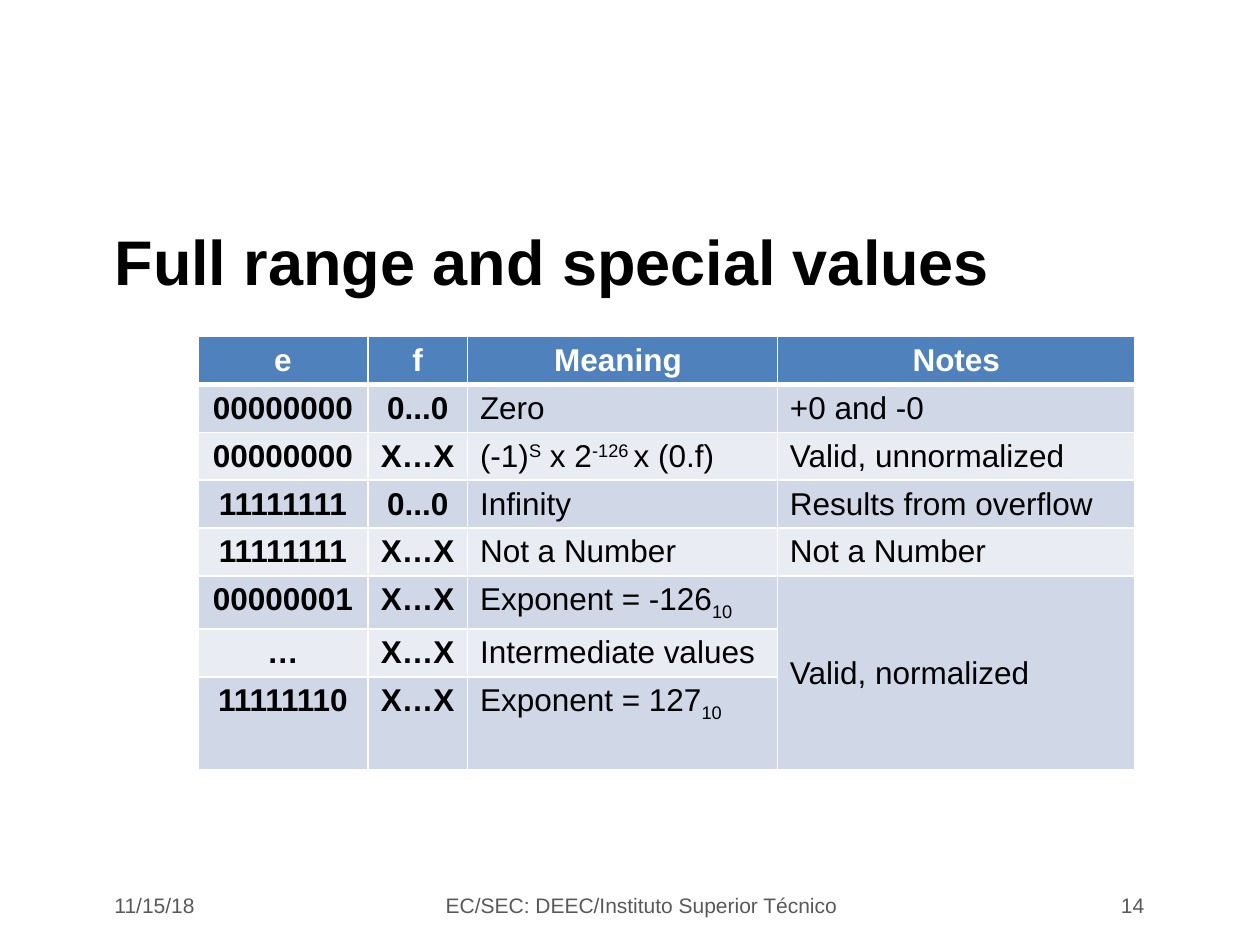
from lxml.etree import SubElement
from pptx import Presentation
from pptx.dml.color import RGBColor
from pptx.enum.text import MSO_ANCHOR as Anchor, PP_ALIGN as Align
from pptx.oxml.ns import qn
from pptx.util import Inches, Pt

THEME = {
    "font": "Arial",
    "black": "000000", "white": "FFFFFF", "grey": "595959",
    "header": "4F81BD", "bands": ("D0D8E7", "E9ECF3"),
    "title_size": 36, "table_size": 18, "footer_size": 12,
    "rule": 0.96, "header_rule": 3,
}

TITLE = "Full range and special values"
SUP, SUB = 30000, -25000
POWER = [("(-1)", 0), ("S", SUP), (" x 2", 0), ("-126 ", SUP), ("x (0.f)", 0)]
ROWS = [
    ("e", "f", "Meaning ", "Notes"),
    ("00000000", "0...0", "Zero", "+0 and -0"),
    ("00000000", "X…X", POWER, "Valid, unnormalized"),
    ("11111111", "0...0", "Infinity", "Results from overflow"),
    ("11111111", "X…X", "Not a Number", "Not a Number"),
    ("00000001", "X…X", [("Exponent = -126", 0), ("10", SUB)], "Valid, normalized"),
    ("…", "X…X", "Intermediate values", ""),
    ("11111110", "X…X", [("Exponent = 127", 0), ("10", SUB)], ""),
]
COL_WIDTHS = [1.35, 0.79, 2.46, 2.84]
ROW_HEIGHTS = [0.38] * 5 + [0.42, 0.38, 0.74]
TABLE_LEFT, TABLE_TOP = 1.57, 2.67
MERGE_FIRST, MERGE_LAST, NOTES_COL = 5, 7, 3

FOOTER_TOP, FOOTER_HEIGHT = 7.01, 0.34
FOOTERS = [
    ("11/15/18", 0.81, 2.02, Align.LEFT),
    ("EC/SEC: DEEC/Instituto Superior Técnico ", 3.42, 3.39, Align.CENTER),
    ("14", 7.18, 2, Align.RIGHT),
]


def write(p, content, size, color, bold=False, align=Align.LEFT):
    p.alignment = align
    runs = [(content, 0)] if isinstance(content, str) else content
    for text, baseline in runs:
        r = p.add_run()
        r.text = text
        r.font.name = THEME["font"]
        r.font.size = Pt(size)
        r.font.bold = bold
        r.font.color.rgb = RGBColor.from_string(color)
        if baseline:
            r.font._element.set("baseline", str(baseline))


def set_borders(cell, widths):
    tcPr = cell._tc.get_or_add_tcPr()
    for side, width in widths.items():
        ln = SubElement(tcPr, qn(f"a:ln{side}"), w=str(Pt(width)))
        fill = SubElement(ln, qn("a:solidFill"))
        SubElement(fill, qn("a:srgbClr"), val=THEME["white"])


def add_title(s):
    sp = s.shapes.title
    sp.left, sp.top, sp.width, sp.height = map(Inches, (0.81, 1.59, 8.37, 0.95))
    tf = sp.text_frame
    tf.vertical_anchor = Anchor.MIDDLE
    write(tf.paragraphs[0], TITLE, THEME["title_size"], THEME["black"], True)


def add_values_table(s):
    table = s.shapes.add_table(
        len(ROWS), len(COL_WIDTHS), Inches(TABLE_LEFT), Inches(TABLE_TOP),
        Inches(sum(COL_WIDTHS)), Inches(sum(ROW_HEIGHTS))).table
    for column, width in zip(table.columns, COL_WIDTHS):
        column.width = Inches(width)
    for row, height in zip(table.rows, ROW_HEIGHTS):
        row.height = Inches(height)
    for i, row in enumerate(ROWS):
        header = i == 0
        fill = THEME["header"] if header else THEME["bands"][(i - 1) % 2]
        color = THEME["white"] if header else THEME["black"]
        widths = dict.fromkeys("LRTB", THEME["rule"])
        if i < 2:
            widths["B" if header else "T"] = THEME["header_rule"]
        for j, content in enumerate(row):
            cell = table.cell(i, j)
            set_borders(cell, widths)
            cell.fill.solid()
            cell.fill.fore_color.rgb = RGBColor.from_string(fill)
            if content:
                strong = header or j < 2
                write(cell.text_frame.paragraphs[0], content, THEME["table_size"],
                      color, strong, Align.CENTER if strong else Align.LEFT)
    notes = table.cell(MERGE_FIRST, NOTES_COL)
    notes.merge(table.cell(MERGE_LAST, NOTES_COL))
    notes.vertical_anchor = Anchor.MIDDLE


def add_footers(s):
    for text, left, width, align in FOOTERS:
        sp = s.shapes.add_textbox(Inches(left), Inches(FOOTER_TOP),
                                  Inches(width), Inches(FOOTER_HEIGHT))
        tf = sp.text_frame
        tf.word_wrap = True
        tf.vertical_anchor = Anchor.MIDDLE
        write(tf.paragraphs[0], text, THEME["footer_size"], THEME["grey"], align=align)


def main():
    prs = Presentation()
    prs.slide_width, prs.slide_height = Inches(10), Inches(7.5)
    s = prs.slides.add_slide(prs.slide_layouts[5])
    add_title(s)
    add_values_table(s)
    add_footers(s)
    prs.save("out.pptx")


if __name__ == "__main__":
    main()
